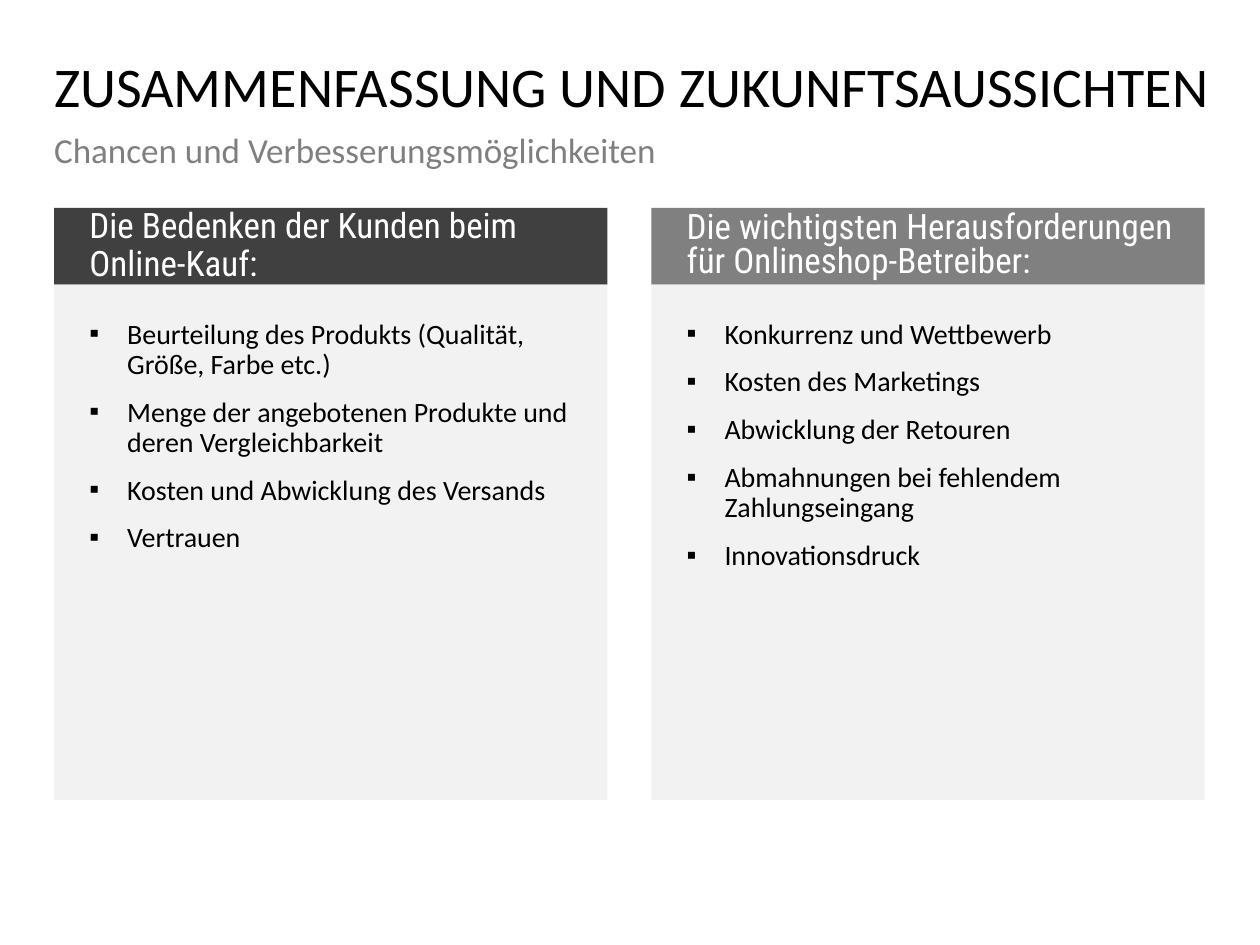
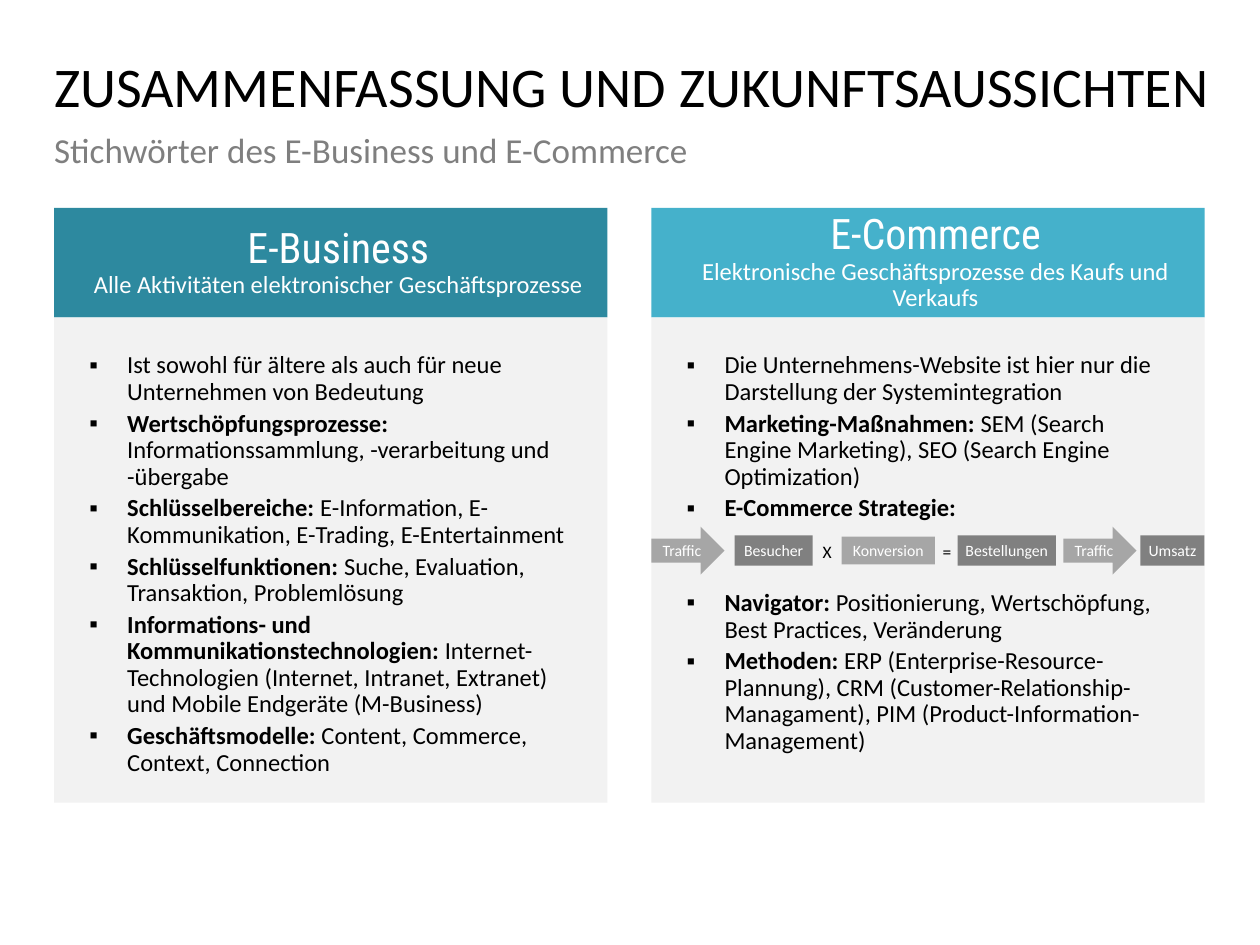
from lxml.etree import SubElement
from pptx import Presentation
from pptx.dml.color import RGBColor
from pptx.enum.shapes import MSO_SHAPE as SHAPE
from pptx.enum.text import MSO_ANCHOR as ANCHOR, PP_ALIGN as ALIGN
from pptx.oxml.ns import qn
from pptx.util import Inches, Pt

COLORS = {
    "black": "000000", "white": "FFFFFF", "subtitle": "7F7F7F",
    "dark": "404040", "mid": "808080", "light": "A6A6A6", "panel": "F2F2F2",
    "teal": "2D899F", "aqua": "45B1CB",
}
BODY_FONT, HEAD_FONT = "Calibri", "Roboto Condensed"
TITLE = "ZUSAMMENFASSUNG UND ZUKUNFTSAUSSICHTEN"
LEFT, TOP, COL_W, COL_STEP = 0.43, 1.65, 4.39, 4.74

CONCERNS = [
    ("", "Beurteilung des Produkts (Qualität, Größe, Farbe etc.)"),
    ("", "Menge der angebotenen Produkte und deren Vergleichbarkeit"),
    ("", "Kosten und Abwicklung des Versands"),
    ("", "Vertrauen"),
]
CHALLENGES = [
    ("", "Konkurrenz und Wettbewerb"),
    ("", "Kosten des Marketings"),
    ("", "Abwicklung der Retouren"),
    ("", "Abmahnungen bei fehlendem Zahlungseingang"),
    ("", "Innovationsdruck"),
]
BUSINESS = [
    ("", "Ist sowohl für ältere als auch für neue Unternehmen von Bedeutung"),
    ("Wertschöpfungsprozesse: ", "Informationssammlung, -verarbeitung und -übergabe"),
    ("Schlüsselbereiche: ", "E-Information, E-Kommunikation, E-Trading, E-Entertainment"),
    ("Schlüsselfunktionen: ", "Suche, Evaluation, Transaktion, Problemlösung"),
    ("Informations- und Kommunikationstechnologien: ",
     "Internet-Technologien (Internet, Intranet, Extranet) und Mobile Endgeräte (M-Business)"),
    ("Geschäftsmodelle: ", "Content, Commerce, Context, Connection"),
]
COMMERCE = [
    ("", "Die Unternehmens-Website ist hier nur die Darstellung der Systemintegration"),
    ("Marketing-Maßnahmen: ", "SEM (Search Engine Marketing), SEO (Search Engine Optimization)"),
    ("E-Commerce Strategie:", ""),
    ("Navigator: ", "Positionierung, Wertschöpfung, Best Practices, Veränderung"),
    ("Methoden: ", "ERP (Enterprise-Resource-Plannung), CRM (Customer-Relationship-Managament), "
                   "PIM (Product-Information-Management)"),
]
STRATEGY = [
    ("Traffic", "arrow", 5.17, 0.58), ("Besucher", "dark box", 5.83, 0.62),
    ("X", "sign", 6.45, 0.23), ("Konversion", "light box", 6.68, 0.74),
    ("=", "sign", 7.42, 0.19), ("Bestellungen", "dark box", 7.6, 0.78),
    ("Traffic", "arrow", 8.44, 0.58), ("Umsatz", "dark box", 9.05, 0.51),
]
STEP_STYLES = {
    "arrow": (SHAPE.RIGHT_ARROW, "light", 0.38),
    "dark box": (SHAPE.RECTANGLE, "mid", 0.24),
    "light box": (SHAPE.RECTANGLE, "light", 0.22),
}
STEP_MIDDLE = 4.37


def rgb(name):
    """Return the named colour."""
    return RGBColor.from_string(COLORS[name])


def set_frame(s, insets=(0, 0, 0, 0), anchor=ANCHOR.TOP):
    """Set wrapping, insets and anchor, and return the text frame."""
    tf = s.text_frame
    tf.word_wrap = True
    tf.vertical_anchor = anchor
    tf.margin_left, tf.margin_top, tf.margin_right, tf.margin_bottom = map(Inches, insets)
    return tf


def add_box(shapes, kind, box, fill):
    """Add a flat preset shape without an outline."""
    s = shapes.add_shape(kind, *map(Inches, box))
    s.shadow.inherit = False
    s.fill.solid()
    s.fill.fore_color.rgb = rgb(fill)
    s.line.fill.background()
    return s


def add_text(shapes, box):
    """Add an empty text box."""
    return shapes.add_textbox(*map(Inches, box))


def next_paragraph(tf, align=ALIGN.LEFT, spacing=0.9, after=0):
    """Return the unused first paragraph or a new one, formatted."""
    p = tf.paragraphs[0]
    if p.runs:
        p = tf.add_paragraph()
    p.alignment, p.line_spacing, p.space_after = align, spacing, Pt(after)
    return p


def add_run(p, text, size, color="black", font=BODY_FONT, bold=False):
    """Append one formatted run."""
    r = p.add_run()
    r.text = text
    r.font.size, r.font.name, r.font.bold = Pt(size), font, bold
    r.font.color.rgb = rgb(color)


def add_bullet(p):
    """Give the paragraph a square bullet with a hanging indent."""
    pPr = p._p.get_or_add_pPr()
    pPr.set("marL", str(Inches(0.3)))
    pPr.set("indent", str(-Inches(0.3)))
    SubElement(pPr, qn("a:buFont"), typeface="Arial")
    SubElement(pPr, qn("a:buChar"), char="▪")


def add_slide(prs, subtitle):
    """Add a blank slide with the shared title and its subtitle."""
    shapes = prs.slides.add_slide(prs.slide_layouts[6]).shapes
    for text, size, color, box in (
        (TITLE, 32, "black", (LEFT, 0.47, 9.24, 0.59)),
        (subtitle, 20, "subtitle", (LEFT, 1.06, 9.13, 0.59)),
    ):
        add_run(next_paragraph(set_frame(add_text(shapes, box))), text, size, color)
    return shapes


def add_header(shapes, col, height, fill):
    """Add a column header band and return its text frame."""
    s = add_box(shapes, SHAPE.RECTANGLE, (LEFT + col * COL_STEP, TOP, COL_W, height), fill)
    return set_frame(s, (0.28, 0, 0.16, 0), ANCHOR.MIDDLE)


def add_question(shapes, col, fill, lines, spacing):
    """Add a header band with a left-aligned heading."""
    p = next_paragraph(add_header(shapes, col, 0.61, fill), spacing=spacing)
    for i, line in enumerate(lines):
        if i:
            p.add_line_break()
        add_run(p, line, 20, "white", HEAD_FONT)


def add_topic(shapes, col, fill, name, definition):
    """Add a header band with a centred term and its definition."""
    tf = add_header(shapes, col, 0.87, fill)
    for text, size, font in ((name, 24, HEAD_FONT), (definition, 14, BODY_FONT)):
        add_run(next_paragraph(tf, ALIGN.CENTER), text, size, "white", font)


def add_panel(shapes, col, top, height, items, size, after):
    """Add a bulleted panel below a header and return its text frame."""
    s = add_box(shapes, SHAPE.RECTANGLE, (LEFT + col * COL_STEP, top, COL_W, height), "panel")
    tf = set_frame(s, (0.28,) * 4)
    for label, text in items:
        p = next_paragraph(tf, after=after)
        add_bullet(p)
        if label:
            add_run(p, label, size, bold=True)
        if text:
            add_run(p, text, size)
    return tf


def add_strategy(shapes):
    """Add the grouped row of strategy steps and signs."""
    group = shapes.add_group_shape().shapes
    for text, style, left, width in STRATEGY:
        if style == "sign":
            s = add_text(group, (left, STEP_MIDDLE + 0.01 - 0.17 / 2, width, 0.17))
            size, color = 10, "black"
        else:
            kind, fill, height = STEP_STYLES[style]
            s = add_box(group, kind, (left, STEP_MIDDLE - height / 2, width, height), fill)
            size, color = 9, "white"
        tf = set_frame(s, anchor=ANCHOR.MIDDLE)
        add_run(next_paragraph(tf, ALIGN.CENTER, 1.0), text, size, color)


def main():
    """Build both summary slides."""
    prs = Presentation()
    prs.slide_width, prs.slide_height = Inches(10), Inches(7.5)

    shapes = add_slide(prs, "Chancen und Verbesserungsmöglichkeiten")
    add_question(shapes, 0, "dark", ["Die Bedenken der Kunden beim Online-Kauf:"], 0.9)
    add_question(shapes, 1, "mid",
                 ["Die wichtigsten Herausforderungen", "für Onlineshop-Betreiber:"], 0.8)
    for col, items in enumerate((CONCERNS, CHALLENGES)):
        add_panel(shapes, col, 2.26, 4.09, items, 16, 10)

    shapes = add_slide(prs, "Stichwörter des E-Business und E-Commerce")
    add_topic(shapes, 0, "teal", "E-Business",
              "Alle Aktivitäten elektronischer Geschäftsprozesse")
    add_topic(shapes, 1, "aqua", "E-Commerce",
              "Elektronische Geschäftsprozesse des Kaufs und Verkaufs")
    add_panel(shapes, 0, 2.52, 3.85, BUSINESS, 14, 3)
    tf = add_panel(shapes, 1, 2.52, 3.85, COMMERCE, 14, 3)
    tf.paragraphs[3].space_before = Pt(36)
    add_strategy(shapes)

    prs.save("out.pptx")


if __name__ == "__main__":
    main()
